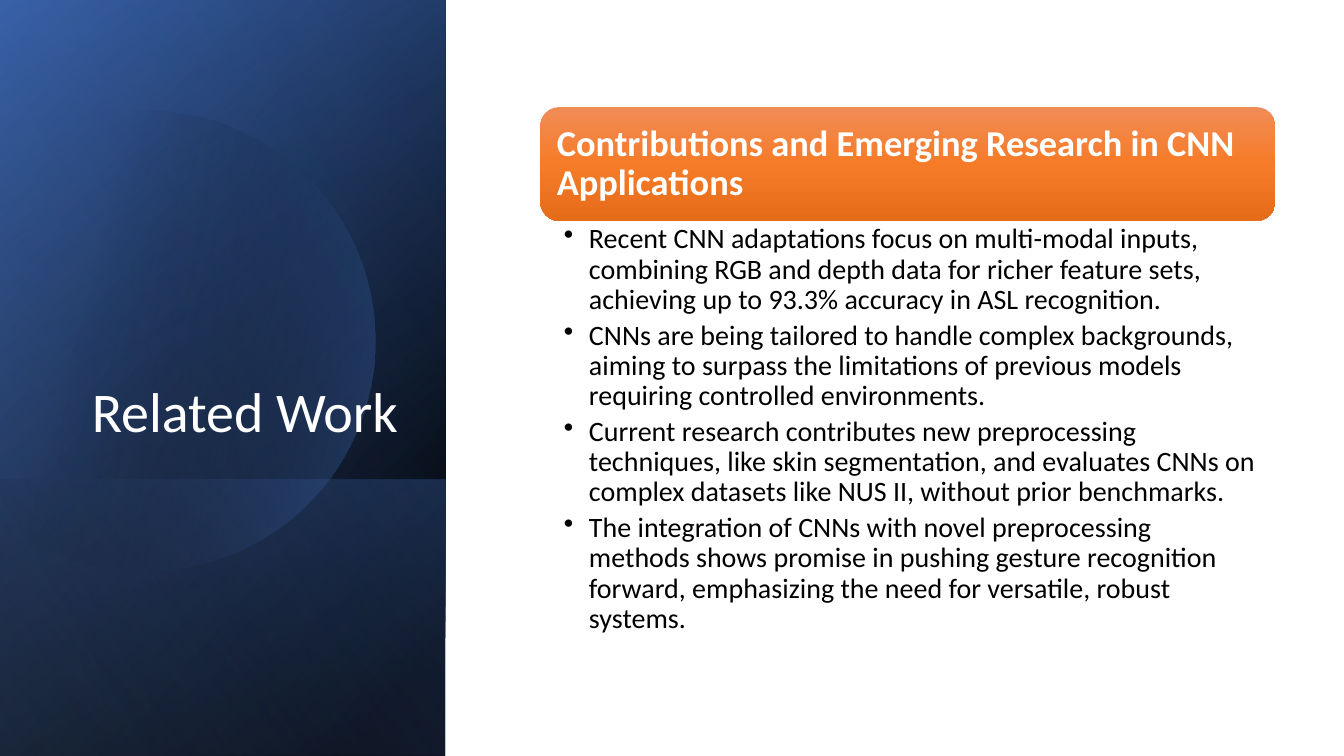
from pptx import Presentation
from pptx import oxml
from pptx.dml.color import RGBColor
from pptx.enum import shapes, text
from pptx.oxml import ns
from pptx.util import Pt

COLORS = {
    "black": "000000",
    "white": "FFFFFF",
    "navy": "2F5597",
    "blue": "4472C4",
    "pale": "8FAADC",
    "orange_top": "F18C57",
    "orange_middle": "F67B28",
    "orange_bottom": "E56C19",
}
FONT = "Calibri"
PANEL_WIDTH = 318.24
SLIDE_HEIGHT = 540

HEADING = "Contributions and Emerging Research in CNN Applications"
FINDINGS = [
    "Recent CNN adaptations focus on multi-modal inputs, combining RGB and depth data for richer feature sets, achieving up to 93.3% accuracy in ASL recognition.",
    "CNNs are being tailored to handle complex backgrounds, aiming to surpass the limitations of previous models requiring controlled environments.",
    "Current research contributes new preprocessing techniques, like skin segmentation, and evaluates CNNs on complex datasets like NUS II, without prior benchmarks.",
    "The integration of CNNs with novel preprocessing methods shows promise in pushing gesture recognition forward, emphasizing the need for versatile, robust systems.",
]

CIRCLE_START = (107.3, 79.2)
CIRCLE_CURVES = [
    [(177.1, 80.6), (241.2, 127.4), (261.4, 198)],
    [(286.6, 285.8), (236.2, 376.6), (149, 401.8)],
    [(94.3, 417.6), (38.2, 403.9), (-2.2, 370.1)],
    [(-10.8, 362.2), (-10.8, 362.2), (-10.8, 362.2)],
    [(-10.8, 126), (-10.8, 126), (-10.8, 126)],
    [(0, 115.9), (0, 115.9), (0, 115.9)],
    [(16.6, 102.2), (36, 92.2), (57.6, 85.7)],
    [(74.2, 81.4), (90.7, 79.2), CIRCLE_START],
]


def apply_gradient(shape, stops, angle):
    shape.shadow.inherit = False
    shape.line.fill.background()
    shape.fill.solid()
    stop_xml = "".join(
        f'<a:gs pos="{position * 1000}"><a:srgbClr val="{COLORS[color]}">'
        f'<a:alpha val="{opacity * 1000}"/></a:srgbClr></a:gs>'
        for position, color, opacity in stops
    )
    gradient = oxml.parse_xml(
        f'<a:gradFill {ns.nsdecls("a")} rotWithShape="1"><a:gsLst>{stop_xml}</a:gsLst>'
        f'<a:lin ang="{angle * 60000}" scaled="0"/></a:gradFill>'
    )
    properties = shape._element.spPr
    properties.replace(properties.find(ns.qn("a:solidFill")), gradient)


def add_panel_layer(slide, top, stops, angle):
    height = SLIDE_HEIGHT - top
    shift = (PANEL_WIDTH - height) / 2
    shape = slide.shapes.add_shape(
        shapes.MSO_SHAPE.RECTANGLE,
        Pt(shift), Pt(top - shift), Pt(height), Pt(PANEL_WIDTH),
    )
    shape.rotation = 90
    shape._element.spPr.xfrm.set("flipH", "1")
    apply_gradient(shape, stops, angle)


def curve_points(start, first, second, end, steps=24):
    for step in range(1, steps + 1):
        t = step / steps
        weights = ((1 - t) ** 3, 3 * t * (1 - t) ** 2, 3 * t * t * (1 - t), t ** 3)
        corners = (start, first, second, end)
        yield tuple(
            Pt(sum(weight * corner[axis] for weight, corner in zip(weights, corners)))
            for axis in (0, 1)
        )


def add_circle(slide, stops, angle):
    builder = slide.shapes.build_freeform(*[Pt(value) for value in CIRCLE_START])
    start = CIRCLE_START
    for curve in CIRCLE_CURVES:
        steps = 1 if curve[0] == curve[2] else 24
        builder.add_line_segments(list(curve_points(start, *curve, steps=steps)), close=False)
        start = curve[2]
    builder.add_line_segments([], close=True)
    apply_gradient(builder.convert_to_shape(), stops, angle)


def write_text(shape, paragraphs, size, color, bold=False, align=text.PP_ALIGN.LEFT,
               anchor=text.MSO_ANCHOR.TOP, insets=(7.2, 3.6, 7.2, 3.6),
               space_after=0, bullet=None):
    frame = shape.text_frame
    frame.word_wrap = True
    frame.auto_size = text.MSO_AUTO_SIZE.NONE
    frame.vertical_anchor = anchor
    frame.margin_left, frame.margin_top, frame.margin_right, frame.margin_bottom = map(Pt, insets)
    for index, content in enumerate(paragraphs):
        paragraph = frame.paragraphs[0] if index == 0 else frame.add_paragraph()
        paragraph.alignment = align
        paragraph.line_spacing = 0.9
        paragraph.space_after = Pt(space_after)
        run = paragraph.add_run()
        run.text = content
        run.font.name = FONT
        run.font.size = Pt(size)
        run.font.bold = bold
        run.font.color.rgb = RGBColor.from_string(COLORS[color])
        if bullet:
            properties = paragraph._p.get_or_add_pPr()
            properties.set("marL", str(Pt(18)))
            properties.set("indent", str(Pt(-18)))
            properties.append(oxml.parse_xml(f'<a:buChar {ns.nsdecls("a")} char="{bullet}"/>'))


def place_title(slide):
    title = slide.shapes.title
    title.left, title.top, title.width, title.height = map(Pt, (46, 132.5, 245.5, 188.6))
    write_text(title, ["Related Work"], 40, "white",
               align=text.PP_ALIGN.RIGHT, anchor=text.MSO_ANCHOR.BOTTOM)
    slide.shapes._spTree.append(title._element)


def add_heading(slide):
    shape = slide.shapes.add_shape(
        shapes.MSO_SHAPE.ROUNDED_RECTANGLE, Pt(386), Pt(76.5), Pt(525), Pt(81.3)
    )
    stops = [(0, "orange_top", 100), (50, "orange_middle", 100), (100, "orange_bottom", 100)]
    apply_gradient(shape, stops, 90)
    write_text(shape, [HEADING], 26, "white", bold=True,
               anchor=text.MSO_ANCHOR.MIDDLE, insets=(7.8, 7.8, 7.8, 7.8))


def add_findings(slide):
    box = slide.shapes.add_textbox(Pt(386), Pt(157.8), Pt(525), Pt(314))
    write_text(box, FINDINGS, 20, "black", insets=(16.7, 2.6, 14.4, 2.6),
               space_after=4, bullet="•")


def main():
    presentation = Presentation()
    presentation.slide_width = Pt(960)
    presentation.slide_height = Pt(SLIDE_HEIGHT)
    slide = presentation.slides.add_slide(presentation.slide_layouts[5])
    add_panel_layer(slide, 0, [(8, "black", 100), (100, "navy", 100)], 50)
    add_panel_layer(slide, 0, [(0, "black", 0), (99, "blue", 46)], 30)
    add_panel_layer(slide, 342.7, [(2, "blue", 29), (100, "black", 30)], 130)
    add_circle(slide, [(29, "black", 0), (100, "blue", 43)], 14)
    add_panel_layer(slide, 0, [(0, "black", 0), (99, "pale", 11)], 120)
    place_title(slide)
    add_heading(slide)
    add_findings(slide)
    presentation.save("out.pptx")


if __name__ == "__main__":
    main()
